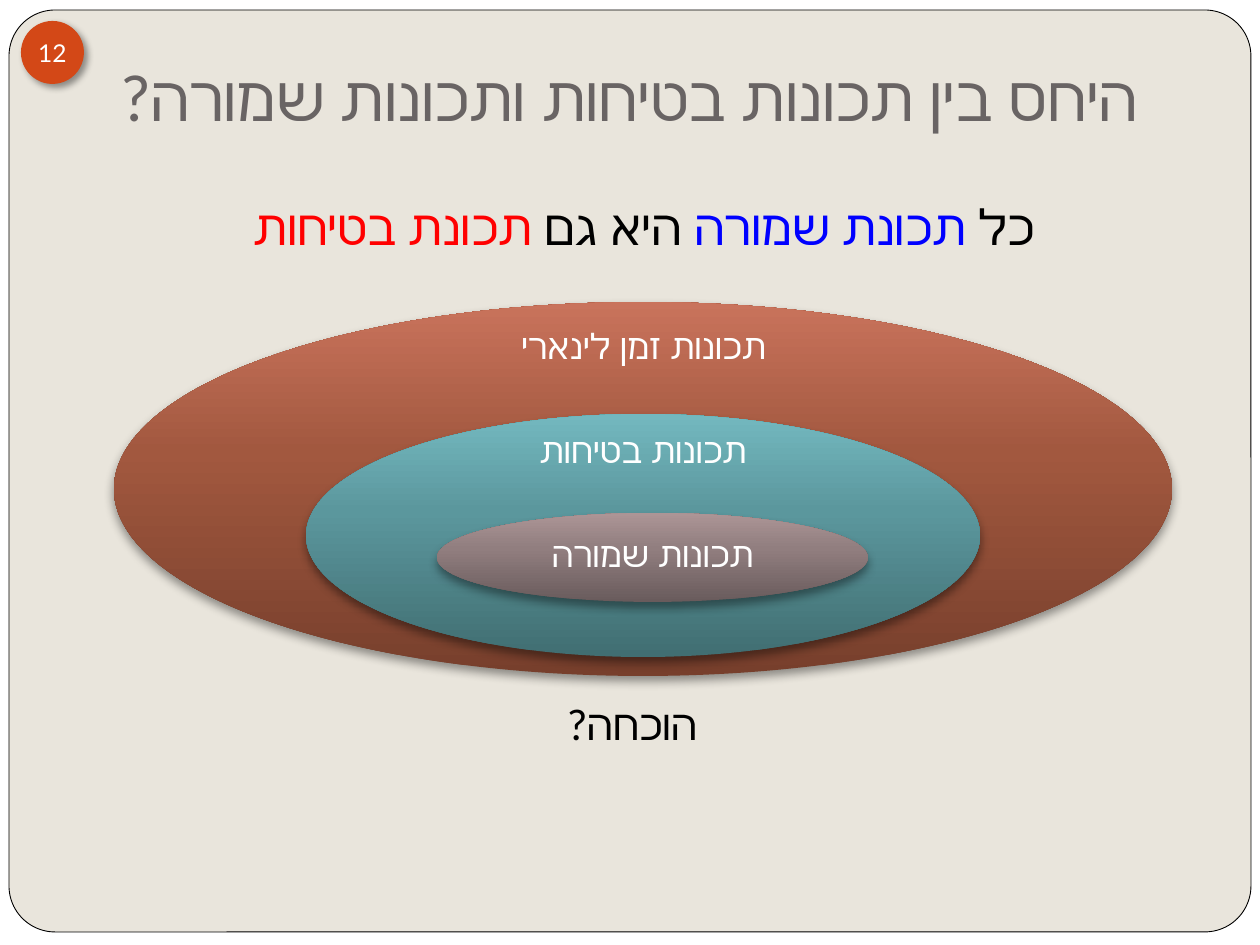
"""Build a slide on how safety and invariant properties nest."""
from lxml.etree import SubElement
from pptx import Presentation
from pptx.dml.color import RGBColor
from pptx.enum.shapes import MSO_SHAPE
from pptx.enum.text import MSO_ANCHOR, MSO_AUTO_SIZE, PP_ALIGN
from pptx.oxml import parse_xml
from pptx.oxml.ns import nsdecls, qn
from pptx.util import Pt

PX = 914400 / 126
FONT = "Lato"
WHITE = RGBColor(0xFF, 0xFF, 0xFF)
BLACK = RGBColor(0x00, 0x00, 0x00)
BEIGE = RGBColor(0xE9, 0xE5, 0xDC)
GREY = RGBColor(0x69, 0x64, 0x64)
ORANGE = RGBColor(0xD3, 0x48, 0x17)
BLUE = RGBColor(0x00, 0x00, 0xFF)
RED = RGBColor(0xFF, 0x00, 0x00)
RUST = [RGBColor(0x77, 0x3F, 0x2C), RGBColor(0xA2, 0x58, 0x3F), RGBColor(0xC9, 0x73, 0x5C)]
TEAL = [RGBColor(0x41, 0x6E, 0x72), RGBColor(0x5B, 0x97, 0x9D), RGBColor(0x73, 0xB8, 0xBF)]
MAUVE = [RGBColor(0x69, 0x5B, 0x5C), RGBColor(0x91, 0x7E, 0x7F), RGBColor(0xAC, 0x95, 0x96)]


def write(sp, *runs, size, align=PP_ALIGN.CENTER, anchor=MSO_ANCHOR.TOP, inset=(13, 6, 13, 6),
          rtl=True, wrap=True, spacing=1.0, fit=MSO_AUTO_SIZE.NONE):
    tf = sp.text_frame
    tf.auto_size, tf.word_wrap, tf.vertical_anchor = fit, wrap, anchor
    tf.margin_left, tf.margin_top, tf.margin_right, tf.margin_bottom = [round(v * PX) for v in inset]
    p = tf.paragraphs[0]
    p.alignment, p.line_spacing, p.space_before = align, spacing, Pt(0)
    pPr = p._p.get_or_add_pPr()
    pPr.set("marL", "0")
    pPr.set("indent", "0")
    pPr.set("rtl", str(int(rtl)))
    SubElement(pPr, qn("a:buNone"))
    for text, color in runs:
        r = p.add_run()
        r.text = text
        r.font.size, r.font.name, r.font.color.rgb = Pt(size), FONT, color
        SubElement(r._r.get_or_add_rPr(), qn("a:cs"), typeface=FONT)


def add_shadow(sp, blur, angle):
    sp.shadow.inherit = False
    sp._element.spPr.find(qn("a:effectLst")).append(parse_xml(
        f'<a:outerShdw {nsdecls("a")} blurRad="{Pt(blur)}" dist="{Pt(3)}" dir="{angle * 60000}" '
        'rotWithShape="0"><a:srgbClr val="000000"><a:alpha val="40000"/></a:srgbClr></a:outerShdw>'))


prs = Presentation()
prs.slide_width, prs.slide_height = round(1260 * PX), round(945 * PX)
s = prs.slides.add_slide(prs.slide_layouts[1])
s.background.fill.solid()
s.background.fill.fore_color.rgb = WHITE

panel = s.shapes.add_shape(MSO_SHAPE.ROUNDED_RECTANGLE, *[round(v * PX) for v in (9, 10, 1242, 922)])
panel.adjustments[0] = 0.05
panel.fill.solid()
panel.fill.fore_color.rgb = BEIGE
panel.line.color.rgb = BLACK
panel.line.width = Pt(0.5)
panel.shadow.inherit = False
s.shapes._spTree.insert(2, panel._element)

title, body = s.placeholders
for sp, box in ((title, (95, -10, 1071, 157)), (body, (237, 190, 814, 77))):
    sp.left, sp.top, sp.width, sp.height = [round(v * PX) for v in box]
write(title, ("היחס בין תכונות בטיחות ותכונות שמורה?", GREY), size=36,
      anchor=MSO_ANCHOR.BOTTOM, inset=(13, 6, 13, 13))
write(body, ("כל ", BLACK), ("תכונת שמורה ", BLUE), ("היא גם ", BLACK), ("תכונת בטיחות", RED), size=28)

badge = s.shapes.add_shape(MSO_SHAPE.OVAL, *[round(v * PX) for v in (21, 21, 63, 63)])
badge.fill.solid()
badge.fill.fore_color.rgb = ORANGE
badge.line.fill.background()
add_shadow(badge, 4, 45)
write(badge, ("12", WHITE), size=14, anchor=MSO_ANCHOR.MIDDLE, inset=(0, 0, 0, 0), rtl=False, wrap=False)

sets = [
    ("תכונות זמן לינארי", RUST, (114, 302, 1058, 374), (459, 320, 369, 57)),
    ("תכונות בטיחות", TEAL, (306, 414, 674, 243), (486, 430, 314, 45)),
    ("תכונות שמורה", MAUVE, (437, 513, 431, 89), (500, 534, 305, 44)),
]
group = s.shapes.add_group_shape()
for label, colors, oval_box, label_box in sets:
    oval = group.shapes.add_shape(MSO_SHAPE.OVAL, *[round(v * PX) for v in oval_box])
    stops = "".join(f'<a:gs pos="{pos}000"><a:srgbClr val="{color}"/></a:gs>'
                    for pos, color in zip((0, 60, 100), colors))
    oval._element.spPr.append(parse_xml(
        f'<a:gradFill {nsdecls("a")} rotWithShape="1"><a:gsLst>{stops}</a:gsLst>'
        '<a:lin ang="16200000" scaled="0"/></a:gradFill>'))
    oval.line.fill.background()
    add_shadow(oval, 5.2, 90)
    sp = group.shapes.add_textbox(*[round(v * PX) for v in label_box])
    write(sp, (label, WHITE), size=20, anchor=MSO_ANCHOR.MIDDLE, inset=(20, 20, 20, 20), spacing=0.9)

question = s.shapes.add_textbox(*[round(v * PX) for v in (551, 693, 159, 63)])
write(question, ("הוכחה?", BLACK), size=24, align=PP_ALIGN.RIGHT, wrap=False,
      fit=MSO_AUTO_SIZE.SHAPE_TO_FIT_TEXT)

prs.save("out.pptx")
